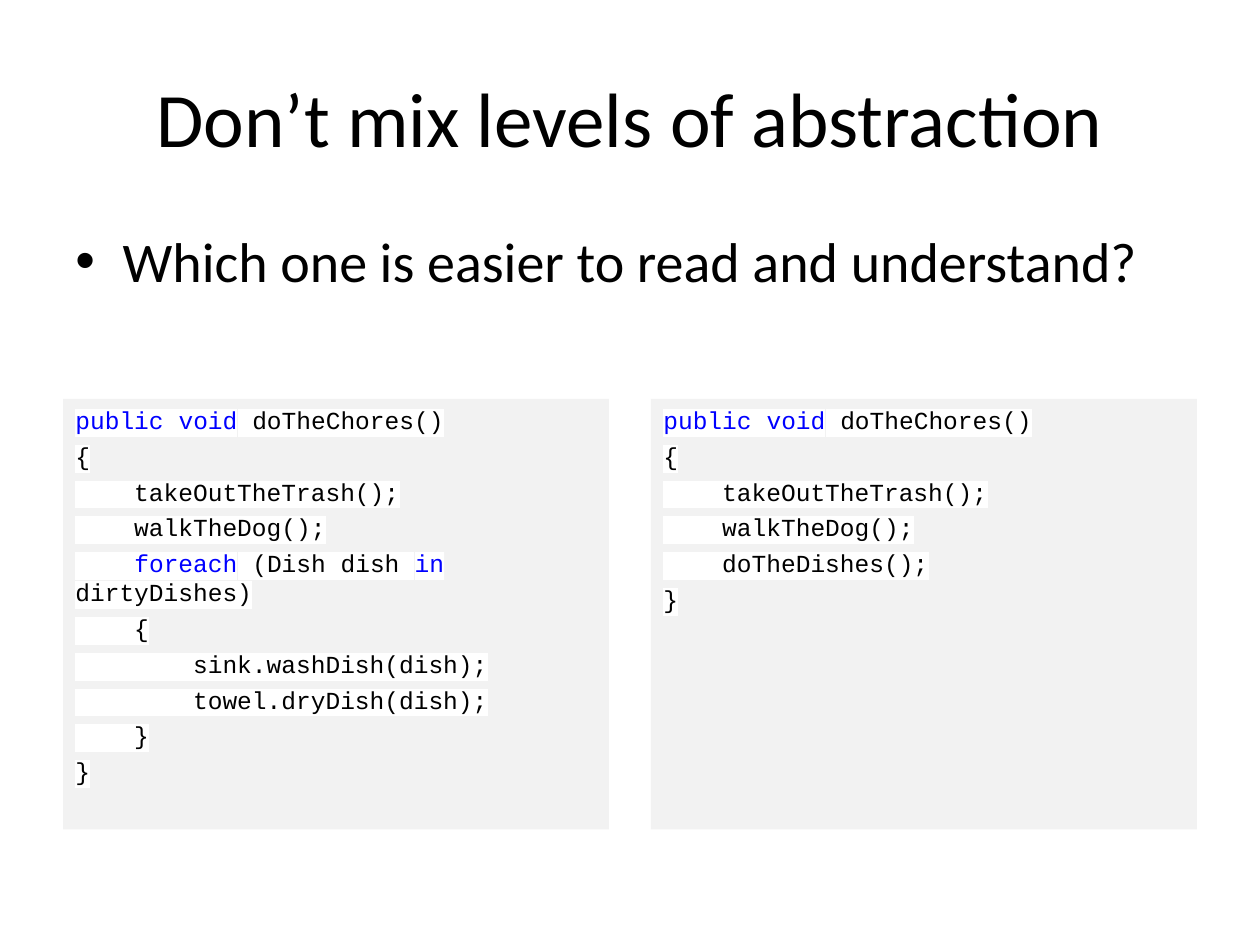
from lxml.etree import SubElement
from pptx import Presentation
from pptx.dml.color import RGBColor
from pptx.enum.shapes import MSO_SHAPE
from pptx.enum.text import MSO_ANCHOR, PP_ALIGN
from pptx.oxml.ns import qn
from pptx.util import Pt

PX = 7620
KEYWORDS = ("public", "void", "foreach", "in")
LONG_CODE = """public void doTheChores()
{
    takeOutTheTrash();
    walkTheDog();
    foreach (Dish dish in dirtyDishes)
    {
        sink.washDish(dish);
        towel.dryDish(dish);
    }
}"""
SHORT_CODE = """public void doTheChores()
{
    takeOutTheTrash();
    walkTheDog();
    doTheDishes();
}"""


def px(*lengths):
    """Turn px lengths into EMU."""
    return [length * PX for length in lengths]


def color(value):
    """Turn a hex string into a colour."""
    return RGBColor.from_string(value)


def add_text(paragraph, text, size=14, font="Calibri", fill="000000", highlight=None):
    """Append a formatted run to a paragraph."""
    run = paragraph.add_run()
    run.text = text
    run.font.size = Pt(size)
    run.font.color.rgb = color(fill)
    if highlight:
        mark = SubElement(run.font._element, qn("a:highlight"))
        SubElement(mark, qn("a:srgbClr"), val=highlight)
    run.font.name = font


def split_code(line):
    """Split a line of code into keywords and the text between them."""
    pieces = [""]
    for word in line.split(" "):
        if word in KEYWORDS:
            pieces += [word, " "]
        else:
            pieces[-1] += word + " "
    pieces[-1] = pieces[-1][:-1]
    return [piece for piece in pieces if piece]


def add_title(slide, box, text):
    """Place the slide title in its box."""
    title = slide.shapes.title
    title.left, title.top, title.width, title.height = px(*box)
    frame = title.text_frame
    frame.vertical_anchor = MSO_ANCHOR.MIDDLE
    paragraph = frame.paragraphs[0]
    paragraph.alignment = PP_ALIGN.CENTER
    add_text(paragraph, text, size=44)


def add_question(slide, box, text):
    """Place the bulleted question in its box."""
    frame = slide.shapes.add_textbox(*px(*box)).text_frame
    frame.word_wrap = True
    paragraph = frame.paragraphs[0]
    paragraph.space_before = Pt(6.4)
    add_text(paragraph, text, size=32)
    properties = paragraph._p.get_or_add_pPr()
    indent, = px(45)
    properties.set("marL", str(indent))
    properties.set("indent", str(-indent))
    SubElement(properties, qn("a:buFont"), typeface="Arial")
    SubElement(properties, qn("a:buChar"), char="•")


def add_code(slide, box, code):
    """Place a grey panel with highlighted code in its box."""
    panel = slide.shapes.add_shape(MSO_SHAPE.RECTANGLE, *px(*box))
    panel.shadow.inherit = False
    panel.fill.solid()
    panel.fill.fore_color.rgb = color("F2F2F2")
    panel.line.fill.background()
    frame = panel.text_frame
    frame.word_wrap = True
    frame.vertical_anchor = MSO_ANCHOR.TOP
    for index, line in enumerate(code.splitlines()):
        paragraph = frame.add_paragraph() if index else frame.paragraphs[0]
        paragraph.alignment = PP_ALIGN.LEFT
        paragraph.space_before = Pt(3.6)
        for piece in split_code(line):
            fill = "0000FF" if piece in KEYWORDS else "000000"
            add_text(paragraph, piece, font="Courier New", fill=fill, highlight="FFFFFF")


def main():
    """Build and save the slide."""
    presentation = Presentation()
    presentation.slide_width, presentation.slide_height = px(1200, 900)
    slide = presentation.slides.add_slide(presentation.slide_layouts[5])
    add_title(slide, (60, 36, 1080, 150), "Don’t mix levels of abstraction")
    add_question(slide, (60, 210, 1080, 160), "Which one is easier to read and understand?")
    for column, code in enumerate((LONG_CODE, SHORT_CODE)):
        add_code(slide, (60 + column * 560, 380, 520, 410), code)
    presentation.save("out.pptx")


if __name__ == "__main__":
    main()
